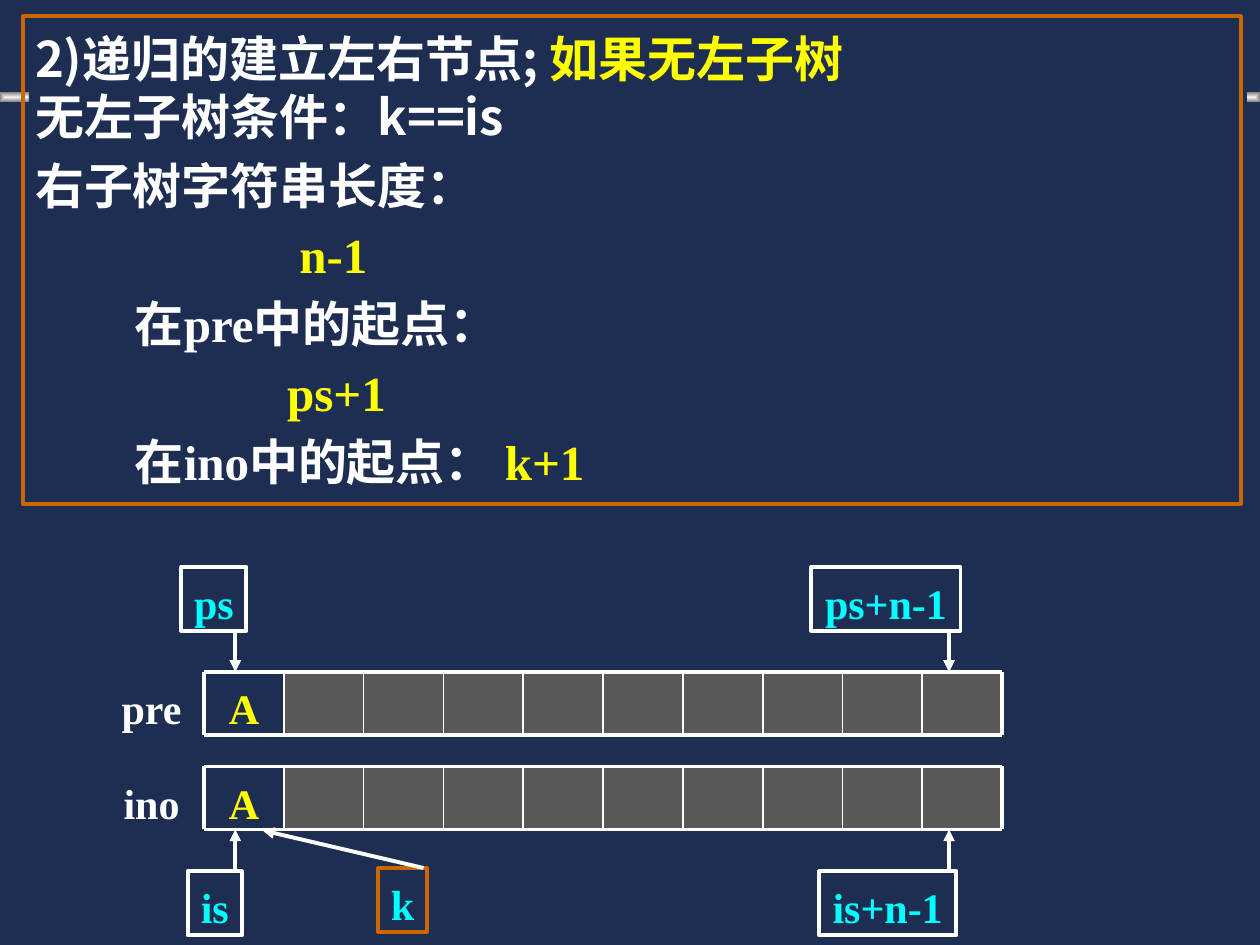
from pptx import Presentation
from pptx.dml.color import RGBColor
from pptx.enum.shapes import MSO_CONNECTOR as Link, MSO_SHAPE as Preset
from pptx.enum.text import MSO_ANCHOR as Anchor, PP_ALIGN as Align
from pptx.oxml import parse_xml
from pptx.oxml.ns import nsdecls, qn
from pptx.util import Pt

COLORS = {
    "navy": "1E2E53", "white": "FFFFFF", "yellow": "FFFF00", "cyan": "00FFFF",
    "orange": "CC6600", "cell": "595959", "light": "F2F2F2", "shade": "808080",
}
SANS, SERIF = "Noto Sans CJK SC", "Times New Roman"
CELL_COUNT = 10


def rgb(name):
    """Return the named colour."""
    return RGBColor.from_string(COLORS[name])


def add_box(page, box, fill=None, line=None):
    """Add a rectangle with an optional fill and outline."""
    shape = page.shapes.add_shape(Preset.RECTANGLE, *map(Pt, box))
    shape.shadow.inherit = False
    if fill:
        shape.fill.solid()
        shape.fill.fore_color.rgb = rgb(fill)
    else:
        shape.fill.background()
    if line:
        shape.line.color.rgb = rgb(line)
        shape.line.width = Pt(2.25)
    else:
        shape.line.fill.background()
    return shape


def add_line(page, start, end, width=2.25, arrow=False):
    """Add a white line, with an arrowhead at its end if asked."""
    line = page.shapes.add_connector(Link.STRAIGHT, *map(Pt, (*start, *end)))
    line.line.color.rgb = rgb("white")
    line.line.width = Pt(width)
    if arrow:
        line.line._get_or_add_ln().append(
            parse_xml(f'<a:tailEnd {nsdecls("a")} type="triangle"/>'))
    line._element.spPr.append(parse_xml(f'<a:effectLst {nsdecls("a")}/>'))


def add_span(para, text, size=24, color="white", font=SERIF):
    """Add bold text to a paragraph."""
    span = para.add_run()
    span.text = text
    span.font.size = Pt(size)
    span.font.bold = True
    span.font.color.rgb = rgb(color)
    span.font.name = font
    span._r.get_or_add_rPr().append(
        parse_xml(f'<a:ea {nsdecls("a")} typeface="{SANS}"/>'))


def add_label(page, box, text, color="cyan", fill=None, line=None):
    """Add a one-line centred label."""
    frame = add_box(page, box, fill, line).text_frame
    frame.word_wrap = False
    frame.vertical_anchor = Anchor.TOP
    frame.margin_top = Pt(6)
    para = frame.paragraphs[0]
    para.alignment = Align.CENTER
    add_span(para, text, color=color)


def add_backdrop(page):
    """Place the ridge across the page and the panels that cover it."""
    ridge = add_box(page, (0, 52.6, 720, 5.8))
    ridge.fill.gradient()
    for stop, color in zip(ridge.fill.gradient_stops, ("light", "shade")):
        stop.color.rgb = rgb(color)
    gradient = ridge._element.spPr.find(qn("a:gradFill"))
    gradient.remove(gradient.find(qn("a:lin")))
    gradient.append(parse_xml(
        f'<a:path {nsdecls("a")} path="shape">'
        '<a:fillToRect l="50000" t="50000" r="50000" b="50000"/></a:path>'))
    add_box(page, (16.5, 15, 696, 525), "navy")
    add_box(page, (24, 317.5, 696, 222), "navy")


def add_explanation(page, box):
    """Write the recursion rules in an outlined box."""
    lines = [
        (0, 0, [("2)递归的建立左右节点; ", "white", SANS),
                ("如果", "yellow", SERIF), ("无左子树", "yellow", SANS)]),
        (0, 0, [("无左子树条件：k==is", "white", SANS)]),
        (0, 6.4, [("右子树字符串长度：", "white", SERIF)]),
        (151, 6.4, [("n-1", "yellow", SERIF)]),
        (57, 6.4, [("在pre中的起点：", "white", SERIF)]),
        (144, 6.4, [("ps+1", "yellow", SERIF)]),
        (57, 6.4, [("在ino中的起点： ", "white", SERIF), ("k+1", "yellow", SERIF)]),
    ]
    frame = add_box(page, box, line="orange").text_frame
    frame.word_wrap = True
    frame.vertical_anchor = Anchor.TOP
    frame.margin_top = Pt(7.6)
    for index, (indent, gap, spans) in enumerate(lines):
        para = frame.add_paragraph() if index else frame.paragraphs[0]
        para.alignment = Align.LEFT
        para.line_spacing = Pt(33)
        para.space_before = Pt(gap)
        para._p.get_or_add_pPr().set("marL", str(Pt(indent)))
        for text, color, font in spans:
            add_span(para, text, 28, color, font)


def add_array(page, box, name):
    """Draw a named array whose first cell holds the root."""
    left, top, width, height = box
    step, bottom = width / CELL_COUNT, top + height
    for index in range(1, CELL_COUNT):
        add_box(page, (left + index * step, top, step, height), "cell")
    add_label(page, (left, top, step, height), "A", "yellow")
    for y in (top, bottom):
        add_line(page, (left, y), (left + width, y))
    for index in range(CELL_COUNT + 1):
        x = left + index * step
        add_line(page, (x, top), (x, bottom),
                 2.25 if index in (0, CELL_COUNT) else 1)
    add_label(page, (left - 54, top, 48, height), name, "white")


def add_pointer(page, box, text, start, end, line="white"):
    """Draw a boxed index and its arrow to an array."""
    add_label(page, box, text, fill="navy", line=line)
    add_line(page, start, end, arrow=True)


def main():
    """Build and save the deck."""
    deck = Presentation()
    deck.slide_width, deck.slide_height = Pt(720), Pt(540)
    page = deck.slides.add_slide(deck.slide_layouts[6])
    page.background.fill.solid()
    page.background.fill.fore_color.rgb = rgb("navy")
    add_backdrop(page)
    add_explanation(page, (13, 9.4, 696, 278.6))
    add_array(page, (116.6, 384, 456, 36), "pre")
    add_array(page, (116.6, 438, 456, 36), "ino")
    first, last = 134.5, 542.3
    add_pointer(page, (103.7, 324, 37.2, 36.5), "ps", (first, 360), (first, 384))
    add_pointer(page, (463.7, 324, 85.2, 36.5), "ps+n-1", (last, 360), (last, 384))
    add_pointer(page, (107.3, 498, 31, 36.5), "is", (first, 498), (first, 474))
    add_pointer(page, (468, 498, 78.5, 36.5), "is+n-1", (last, 498), (last, 474))
    add_pointer(page, (216, 496, 28, 36.5), "k", (242, 496), (150, 474.5), "orange")
    deck.save("out.pptx")


if __name__ == "__main__":
    main()
